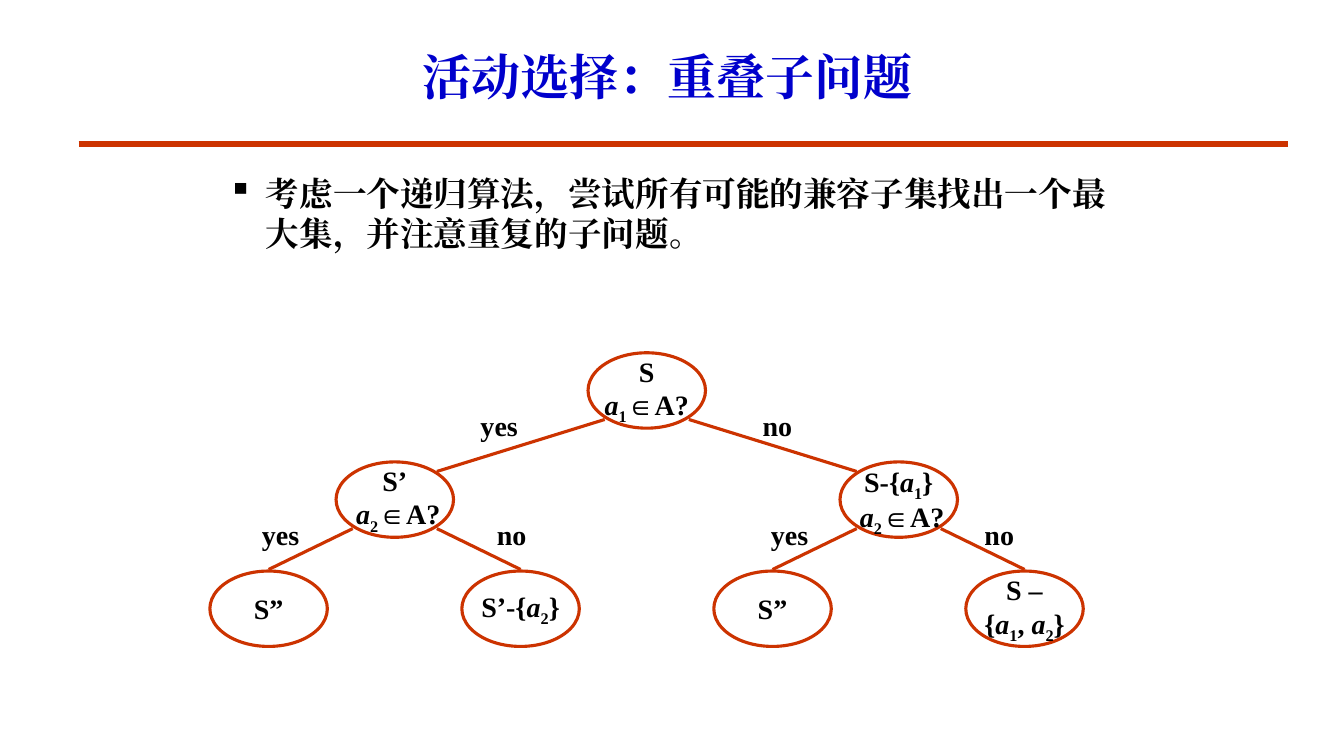
from dataclasses import dataclass
from itertools import groupby
from typing import Optional

from lxml import etree
from pptx import Presentation
from pptx.dml.color import RGBColor
from pptx.enum.shapes import MSO_CONNECTOR, MSO_SHAPE
from pptx.enum.text import MSO_ANCHOR, MSO_AUTO_SIZE, PP_ALIGN
from pptx.oxml.ns import qn
from pptx.util import Cm, Pt

LEFT, CENTER = PP_ALIGN.LEFT, PP_ALIGN.CENTER
TOP, MIDDLE = MSO_ANCHOR.TOP, MSO_ANCHOR.MIDDLE
NO_FIT = MSO_AUTO_SIZE.NONE
OVAL, STRAIGHT = MSO_SHAPE.OVAL, MSO_CONNECTOR.STRAIGHT

BLUE = RGBColor(0x00, 0x00, 0xCC)
RED = RGBColor(0xCC, 0x33, 0x00)
BLACK = RGBColor(0x00, 0x00, 0x00)
WHITE = RGBColor(0xFF, 0xFF, 0xFF)
FONT = "Times New Roman"

# Tree measures in centimetres
NODE_WIDTH, NODE_HEIGHT = 2.96, 1.9
ROOT_TOP, LEVEL_STEP = 8.89, 2.75
EDGE_INSET = 1.06    # sideways from a node's centre to its edge ends
EDGE_START = 1.68    # below the parent's top
LABEL_DROP = 1.27    # below the parent's top


@dataclass(frozen=True)
class Node:
    text: str
    center: float
    level: int
    parent: Optional[int] = None
    label: str = ""
    label_left: float = 0
    spacing: float = 1.0

    @property
    def top(self) -> float:
        return ROOT_TOP + self.level * LEVEL_STEP


# \v breaks a line, \n starts a paragraph
NODES = (
    Node("S\va1∈A?", 16.3, 0, spacing=0.9),
    Node("S’\v a2∈A?", 9.95, 1, 0, "yes", 11.86, 0.9),
    Node("S-{a1}\v a2∈A?", 22.65, 1, 0, "no", 18.97, 0.9),
    Node("S”", 6.77, 2, 1, "yes", 6.35),
    Node("S’-{a2}", 13.12, 2, 1, "no", 12.27),
    Node("S”", 19.47, 2, 2, "yes", 19.18),
    Node("S –\n{a1, a2}", 25.82, 2, 2, "no", 24.56, 0.9),
)


def math_style(char: str) -> str:
    """In formulas the variable a is italic and digits are subscripts."""
    if char == "a":
        return "italic"
    return "subscript" if char.isdigit() else "plain"


def write_text(box, text: str, *, size: float = 20, color: RGBColor = BLACK,
               align=LEFT, anchor=TOP, wrap: bool = False,
               spacing: Optional[float] = None, formula: bool = False,
               bullet: str = "", indent: float = 0) -> None:
    frame = box.text_frame
    frame.auto_size = NO_FIT
    frame.word_wrap = wrap
    frame.vertical_anchor = anchor
    for number, line in enumerate(text.split("\n")):
        para = frame.add_paragraph() if number else frame.paragraphs[0]
        if bullet:
            props = para._p.get_or_add_pPr()
            props.set("marL", str(Cm(indent)))
            props.set("indent", str(-Cm(indent)))
            etree.SubElement(props, qn("a:buChar")).set("char", bullet)
        para.alignment = align
        para.space_before = Pt(0)
        if spacing:
            para.line_spacing = spacing
        for row, part in enumerate(line.split("\v")):
            if row:
                para.add_line_break()
            spans = groupby(part, math_style) if formula else [("plain", part)]
            for style, chars in spans:
                span = para.add_run()
                span.text = "".join(chars)
                font = span.font
                font.size, font.bold, font.name = Pt(size), True, FONT
                font.color.rgb = color
                font.italic = style == "italic"
                props = span._r.get_or_add_rPr()
                if style == "subscript":
                    props.set("baseline", "-25000")
                east_asian = etree.Element(qn("a:ea"), typeface=FONT)
                props.find(qn("a:latin")).addnext(east_asian)


def add_line(page, x1: float, y1: float, x2: float, y2: float,
             width: float = 2.25) -> None:
    line = page.shapes.add_connector(STRAIGHT, Cm(x1), Cm(y1), Cm(x2), Cm(y2))
    line.line.color.rgb = RED
    line.line.width = Pt(width)
    etree.SubElement(line._element.spPr, qn("a:effectLst"))


def add_text(page, text: str, left: float, top: float, width: float,
             height: float, **text_format) -> None:
    box = page.shapes.add_textbox(Cm(left), Cm(top), Cm(width), Cm(height))
    write_text(box, text, **text_format)


def add_node(page, node: Node) -> None:
    oval = page.shapes.add_shape(
        OVAL, Cm(node.center - NODE_WIDTH / 2), Cm(node.top),
        Cm(NODE_WIDTH), Cm(NODE_HEIGHT))
    oval.shadow.inherit = False
    oval.fill.solid()
    oval.fill.fore_color.rgb = WHITE
    oval.line.color.rgb = RED
    oval.line.width = Pt(2.25)
    write_text(oval, node.text, align=CENTER, anchor=MIDDLE,
               spacing=node.spacing, formula=True)


def add_edge(page, parent: Node, child: Node) -> None:
    side = 1 if child.center > parent.center else -1
    # Inner nodes are met at the shoulder, leaves at the top
    inset, drop = (EDGE_INSET, 0.24) if child.level == 1 else (0, -0.04)
    add_line(page, parent.center + side * EDGE_INSET, parent.top + EDGE_START,
             child.center - side * inset, child.top + drop)
    add_text(page, child.label, child.label_left, parent.top + LABEL_DROP,
             1.48 if child.label == "yes" else 1.27, 1.11)


def main() -> None:
    deck = Presentation()
    deck.slide_width, deck.slide_height = Cm(33.87), Cm(19.05)
    page = deck.slides.add_slide(deck.slide_layouts[5])

    # Title and rule
    title = page.shapes.title
    title.left, title.top = Cm(5.08), Cm(0.64)
    title.width, title.height = Cm(23.5), Cm(2.54)
    write_text(title, "活动选择：重叠子问题", size=35, color=BLUE,
               align=CENTER, anchor=MIDDLE, wrap=True)
    add_line(page, 1.98, 3.62, 32.46, 3.62, width=4.5)

    # Statement
    add_text(page, "考虑一个递归算法，尝试所有可能的兼容子集找出一个最大集，并注意重复的子问题。",
             5.5, 4.23, 22.86, 4.66, size=24, wrap=True, bullet="▪", indent=0.95)

    # Recursion tree
    for node in NODES:
        add_node(page, node)
    for node in NODES:
        if node.parent is not None:
            add_edge(page, NODES[node.parent], node)

    deck.save("out.pptx")


if __name__ == "__main__":
    main()
